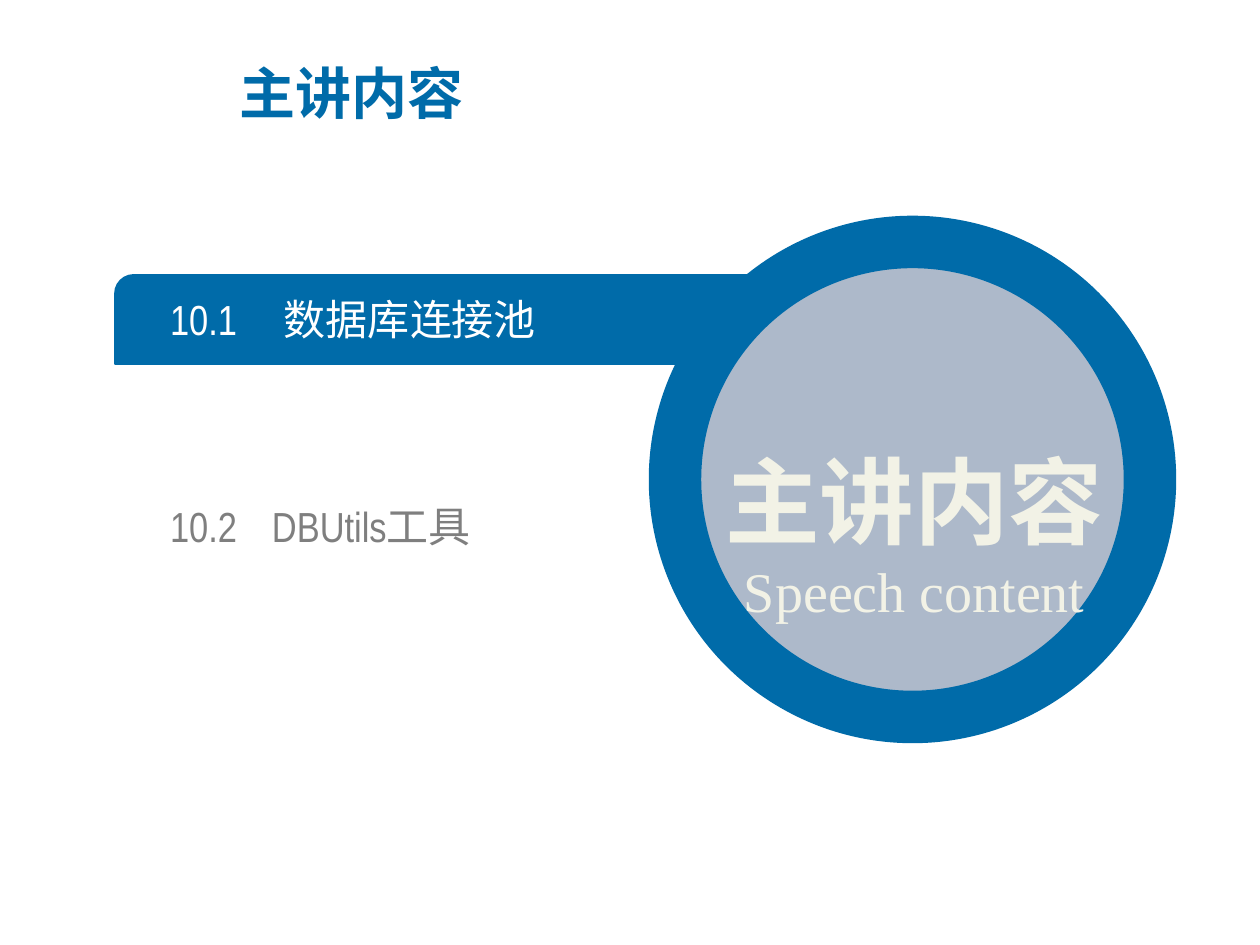
from dataclasses import dataclass

from lxml.etree import SubElement
from pptx import Presentation
from pptx.dml.color import RGBColor as Rgb
from pptx.enum.shapes import MSO_SHAPE as Shape
from pptx.enum.text import MSO_ANCHOR as Anchor, PP_ALIGN as Align
from pptx.oxml.ns import qn
from pptx.util import Inches, Pt

PX = Inches(1) / 126


@dataclass(frozen=True)
class Theme:
    blue: Rgb = Rgb(0x00, 0x6B, 0xA9)
    disc: Rgb = Rgb(0xAD, 0xB9, 0xCA)
    cream: Rgb = Rgb(0xF2, 0xF2, 0xE6)
    grey: Rgb = Rgb(0x7F, 0x7F, 0x7F)
    white: Rgb = Rgb(0xFF, 0xFF, 0xFF)
    cjk: str = "Noto Sans CJK SC"
    narrow: str = "Arial Narrow"
    serif: str = "Times New Roman"
    title: int = 32
    item: int = 24
    badge: int = 54
    caption: int = 32


THEME = Theme()


def px(*lengths):
    return [round(length * PX) for length in lengths]


def add_figure(slide, kind, box, fill, line_width):
    figure = slide.shapes.add_shape(kind, *px(*box))
    figure.shadow.inherit = False
    figure.fill.solid()
    figure.fill.fore_color.rgb = fill
    figure.line.color.rgb = THEME.blue
    figure.line.width = Pt(line_width)
    return figure


def add_text(slide, box, text):
    frame = slide.shapes.add_textbox(*px(*box)).text_frame
    frame.word_wrap = True
    frame.vertical_anchor = Anchor.MIDDLE
    frame.text = text
    return frame


def style(paragraph, size, face, color, bold=False):
    for run in paragraph.runs:
        font = run.font
        font.size, font.name, font.bold = Pt(size), face, bold
        font.color.rgb = color
        # Chinese glyphs take the East Asian face
        SubElement(font._element, qn("a:ea"), typeface=THEME.cjk)


def add_item(slide, top, number, topic, tab, color):
    frame = add_text(slide, (170, top, 600, 50), f"{number}\t{topic}")
    frame.margin_left = frame.margin_right = 0
    frame.margin_top = frame.margin_bottom = 0
    entry = frame.paragraphs[0]
    style(entry, THEME.item, THEME.narrow, color)
    # The tab stop sets the gap between number and topic
    stops = SubElement(entry._p.get_or_add_pPr(), qn("a:tabLst"))
    SubElement(stops, qn("a:tab"), pos=str(px(tab)[0]), algn="l")


def add_badge_text(slide, heading, caption):
    frame = add_text(slide, (669, 379, 491, 252), f"{heading}\n{caption}")
    first, second = frame.paragraphs
    first.alignment = second.alignment = Align.CENTER
    first.line_spacing = 1.5
    style(first, THEME.badge, THEME.cjk, THEME.cream, bold=True)
    style(second, THEME.caption, THEME.serif, THEME.cream)


def main():
    deck = Presentation()
    deck.slide_width, deck.slide_height = Inches(10), Inches(7.5)
    slide = deck.slides.add_slide(deck.slide_layouts[6])

    # Highlight bar behind the current chapter
    bar = add_figure(slide, Shape.ROUND_2_DIAG_RECTANGLE,
                     (115, 275, 788, 89), THEME.blue, 1)
    bar.adjustments[0], bar.adjustments[1] = 0.21, 0

    # Round badge
    add_figure(slide, Shape.OVAL, (675, 242, 475, 475), THEME.disc, 30)
    add_badge_text(slide, "主讲内容", "Speech content")

    # Chapter list
    add_item(slide, 294, "10.1", "数据库连接池", 114, THEME.white)
    add_item(slide, 501, "10.2", "DBUtils工具", 102, THEME.grey)

    # Slide title
    title = add_text(slide, (227, 54, 682, 77), "主讲内容")
    style(title.paragraphs[0], THEME.title, THEME.cjk, THEME.blue, bold=True)

    deck.save("out.pptx")


if __name__ == "__main__":
    main()
